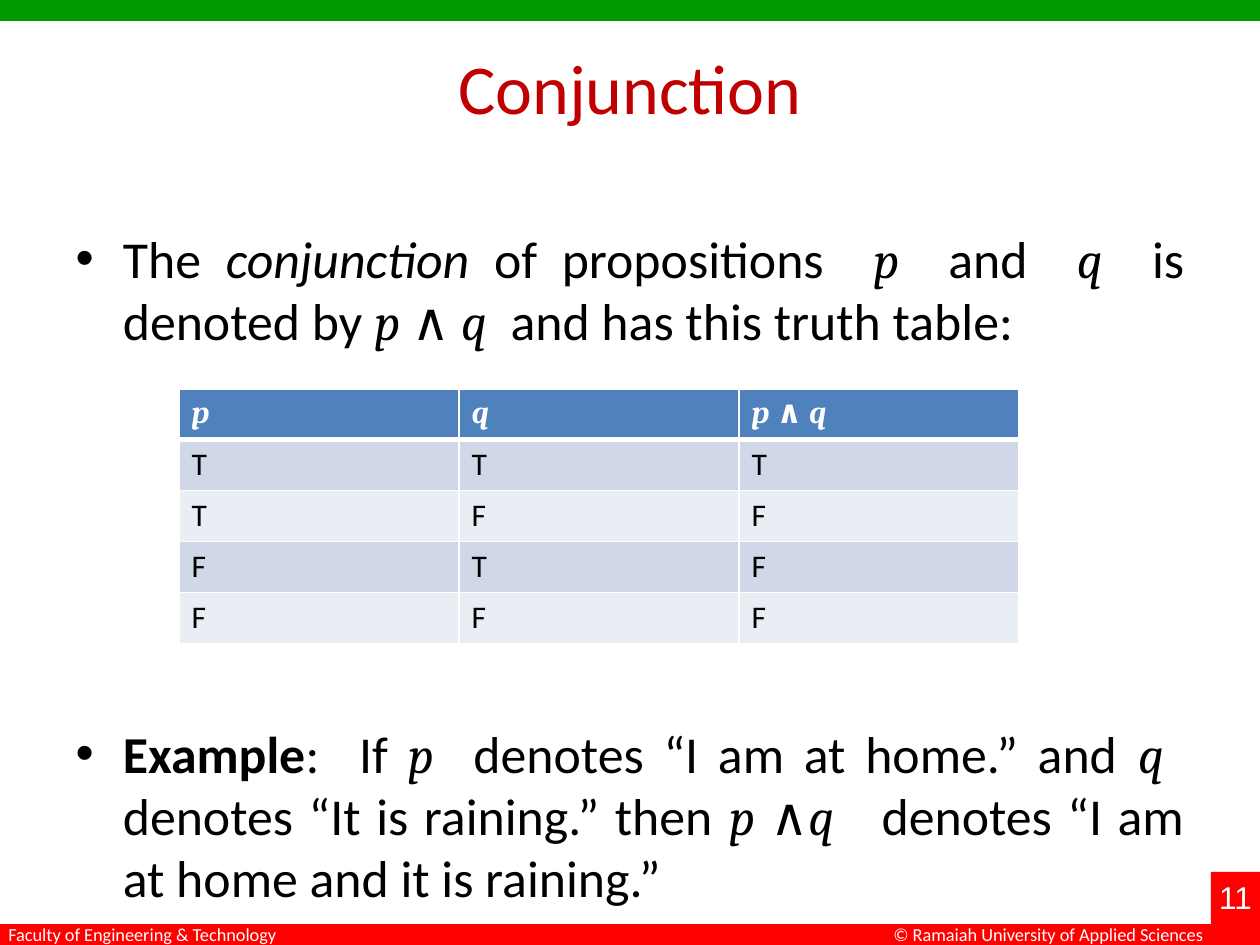
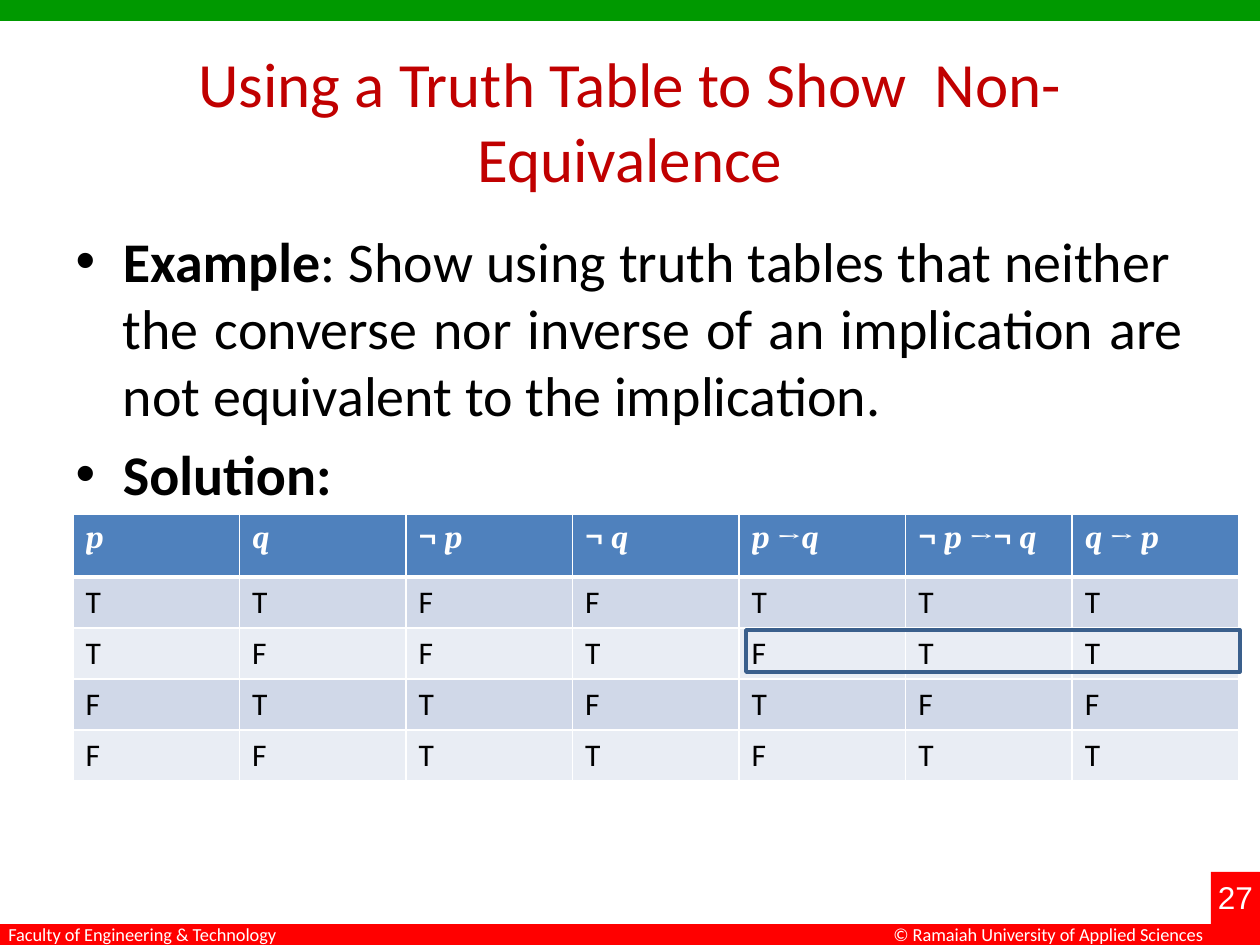
"""Build two logic slides with truth tables."""
import pptx
import pptx.dml.color
import pptx.enum.shapes
import pptx.enum.text
import pptx.oxml
import pptx.oxml.ns
import pptx.util

RGB = pptx.dml.color.RGBColor
GREEN = RGB(0x00, 0x99, 0x00)
RED = RGB(0xFF, 0x00, 0x00)
TITLE_RED = RGB(0xC0, 0x00, 0x00)
WHITE = RGB(0xFF, 0xFF, 0xFF)
BLACK = RGB(0x00, 0x00, 0x00)
HEADER_BLUE = RGB(0x4F, 0x81, 0xBD)
ROW_DARK = RGB(0xD0, 0xD8, 0xE8)
ROW_LIGHT = RGB(0xE9, 0xED, 0xF4)
FRAME_BLUE = RGB(0x3A, 0x5F, 0x8C)

ALIGN = pptx.enum.text.PP_ALIGN
PX = 914400 / 126
WIDTH, HEIGHT = 1260, 945
FONT, MATH_FONT = "Calibri", "Cambria"

PLAIN, BOLD, ITALIC, VAR, OP = "plain", "bold", "italic", "var", "op"
P, Q = ("p", VAR), ("q", VAR)
P_, Q_ = ("p ", VAR), ("q ", VAR)
NOT = ("¬ ", OP)


def box(*lengths):
    return [pptx.util.Emu(round(v * PX)) for v in lengths]


class Deck:
    def __init__(self):
        self.prs = pptx.Presentation()
        self.prs.slide_width, self.prs.slide_height = box(WIDTH, HEIGHT)
        self.s = None

    def slide(self, title, size, number):
        self.s = self.prs.slides.add_slide(self.prs.slide_layouts[1])
        self.rect(0, 0, WIDTH, 21, fill=GREEN)
        self.rect(0, 924, WIDTH, 21, fill=RED)
        self.rect(1211, 872, 49, 73, fill=RED)
        self.label(number, 1197, 872, 77, 64, 18, "Arial", ALIGN.CENTER)
        self.label("Faculty of Engineering & Technology", -4, 917, 300, 35)
        self.label("© Ramaiah University of Applied Sciences", 881, 917, 345, 35)
        tf = self.placeholder(0, 63, 38, 1134, 158)
        tf.text = title
        tf.paragraphs[0].alignment = ALIGN.CENTER
        self.style(tf.paragraphs[0].runs[0], size, TITLE_RED)

    def placeholder(self, idx, *area):
        sp = self.s.placeholders[idx]
        sp.left, sp.top, sp.width, sp.height = box(*area)
        tf = sp.text_frame
        tf.auto_size = pptx.enum.text.MSO_AUTO_SIZE.NONE
        tf.vertical_anchor = pptx.enum.text.MSO_ANCHOR.TOP
        return tf

    def style(self, r, size, color, font=FONT):
        r.font.size = pptx.util.Pt(size)
        r.font.name = font
        r.font.color.rgb = color

    def add_runs(self, p, runs, size, color, bold=False):
        for text, kind in runs:
            r = p.add_run()
            r.text = text
            self.style(r, size, color, MATH_FONT if kind in (VAR, OP) else FONT)
            r.font.bold = bold or kind == BOLD
            r.font.italic = kind in (VAR, ITALIC)

    def rect(self, *area, fill=None, line=None):
        shape = pptx.enum.shapes.MSO_SHAPE.RECTANGLE
        sp = self.s.shapes.add_shape(shape, *box(*area))
        sp.shadow.inherit = False
        if fill is None:
            sp.fill.background()
        else:
            sp.fill.solid()
            sp.fill.fore_color.rgb = fill
        if line is None:
            sp.line.fill.background()
        else:
            sp.line.color.rgb = line
            sp.line.width = pptx.util.Pt(2)

    def label(self, text, x, y, w, h, size=10.5, font=FONT, align=ALIGN.LEFT):
        tf = self.s.shapes.add_textbox(*box(x, y, w, h)).text_frame
        tf.word_wrap = False
        tf.text = text
        tf.paragraphs[0].alignment = align
        self.style(tf.paragraphs[0].runs[0], size, WHITE, font)

    def bullets(self, items, size, gap):
        tf = self.placeholder(1, 63, 220, 1134, 624)
        for i, runs in enumerate(items):
            p = tf.add_paragraph() if i else tf.paragraphs[0]
            p.alignment = ALIGN.JUSTIFY
            p.space_before = pptx.util.Pt(gap if i else 0)
            self.add_runs(p, runs, size, BLACK)

    def border(self, cell, side, points):
        ns = pptx.oxml.ns.nsdecls("a")
        cell._tc.get_or_add_tcPr().append(pptx.oxml.parse_xml(
            f'<a:{side} {ns} w="{points * 12700}"><a:solidFill>'
            f'<a:srgbClr val="{WHITE}"/></a:solidFill></a:{side}>'))

    def truth_table(self, x, y, w, header_h, headers, rows):
        row_h = 51
        grid = [headers] + [[[(v, PLAIN)] for v in row] for row in rows]
        area = box(x, y, w, header_h + row_h * len(rows))
        table = self.s.shapes.add_table(len(grid), len(headers), *area).table
        for i, line in enumerate(grid):
            table.rows[i].height = box(row_h if i else header_h)[0]
            fill = (ROW_DARK if i % 2 else ROW_LIGHT) if i else HEADER_BLUE
            for j, runs in enumerate(line):
                cell = table.cell(i, j)
                for side in ("lnL", "lnR", "lnT", "lnB"):
                    thick = (i, side) in ((0, "lnB"), (1, "lnT"))
                    self.border(cell, side, 3 if thick else 1)
                cell.fill.solid()
                cell.fill.fore_color.rgb = fill
                self.add_runs(cell.text_frame.paragraphs[0], runs, 18,
                              BLACK if i else WHITE, bold=i == 0)


def main():
    deck = Deck()

    deck.slide("Conjunction", 40, "11")
    deck.bullets([
        [("The ", PLAIN), ("conjunction", ITALIC), (" of propositions  ", PLAIN), P,
         ("  and  ", PLAIN), Q, ("  is denoted by ", PLAIN), P_, ("∧ ", OP),
         ("q  ", VAR), ("and has this truth table:", PLAIN)],
        [("Example", BOLD), (":  If ", PLAIN), P,
         ("  denotes “I am at home.” and ", PLAIN), Q,
         ("  denotes “It is raining.” then ", PLAIN), P_, ("∧", OP), Q,
         ("   denotes “I am at home and it is raining.”", PLAIN)],
    ], 29.6, gap=212)
    deck.truth_table(179, 389, 840, 48, [[P], [Q], [P_, ("∧ ", OP), Q]],
                     ["TTT", "TFF", "FTF", "FFF"])

    deck.slide("Using a Truth Table to Show  Non-Equivalence", 36, "27")
    deck.bullets([
        [("Example", BOLD),
         (": Show using truth tables that neither  the converse nor inverse of an "
          "implication are not equivalent to the implication.", PLAIN)],
        [("Solution:", BOLD)],
    ], 32, gap=6.4)
    deck.truth_table(73, 514, 1166, 63,
                     [[P], [Q], [NOT, P], [NOT, Q], [P_, ("→", OP), Q],
                      [NOT, P_, ("→¬ ", OP), Q], [Q_, ("→ ", OP), P]],
                     ["TTFFTTT", "TFFTFTT", "FTTFTFF", "FFTTFTT"])
    deck.rect(746, 630, 494, 42, line=FRAME_BLUE)

    deck.prs.save("out.pptx")


if __name__ == "__main__":
    main()
